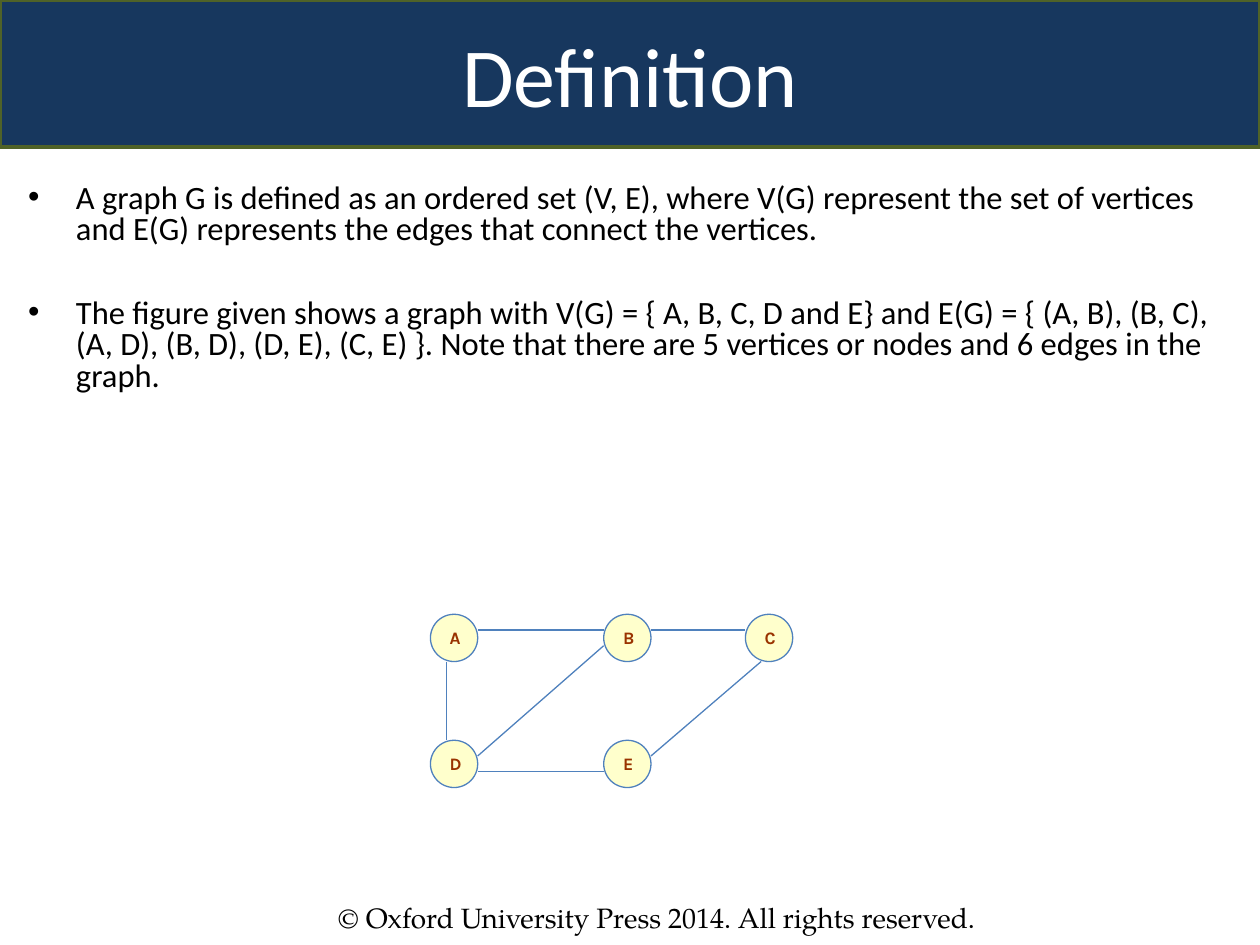
from lxml.etree import SubElement
from pptx import Presentation
from pptx.dml.color import RGBColor
from pptx.enum.shapes import MSO_CONNECTOR as CONN, MSO_SHAPE as SHAPE
from pptx.enum.text import MSO_ANCHOR as ANCHOR, MSO_AUTO_SIZE as FIT, PP_ALIGN as ALIGN
from pptx.oxml.ns import qn
from pptx.util import Inches, Pt

COLORS = {
    "banner": "17375E",
    "banner_line": "4F6228",
    "title": "FFFFFF",
    "text": "000000",
    "node": "FFFFCC",
    "edge": "4F81BD",
    "label": "993300",
}
BODY = [
    "A graph G is defined as an ordered set (V, E), where V(G) represent the set of "
    "vertices and E(G) represents the edges that connect the vertices.",
    "The figure given shows a graph with V(G) = { A, B, C, D and E} and E(G) = { (A, B), "
    "(B, C), (A, D), (B, D), (D, E), (C, E) }. Note that there are 5 vertices or nodes "
    "and 6 edges in the graph.",
]
COLS, ROWS = 80, 60
LEFT, MIDDLE, RIGHT = 27.33, 38.33, 47.33
TOP, BOTTOM = 39, 47
NODE = 3
NODES = {
    "A": (LEFT, TOP),
    "B": (MIDDLE, TOP),
    "C": (RIGHT, TOP),
    "D": (LEFT, BOTTOM),
    "E": (MIDDLE, BOTTOM),
}
EDGES = [
    ("A", (1, 3), "D", (1, 0)),
    ("A", (3, 1), "B", (0, 1)),
    ("D", (3, 2), "E", (0, 2)),
    ("D", (3, 1), "B", (0, 2)),
    ("B", (3, 1), "C", (0, 1)),
    ("C", (1, 3), "E", (3, 1)),
]


def rgb(name):
    return RGBColor.from_string(COLORS[name])


class GraphSlide:
    def __init__(self, prs):
        self.cell = prs.slide_width / COLS
        self.slide = prs.slides.add_slide(prs.slide_layouts[5])
        self.shapes = self.slide.shapes

    def grid(self, *lengths):
        return [round(n * self.cell) for n in lengths]

    def paint(self, sp, fill, line, width):
        sp.fill.solid()
        sp.fill.fore_color.rgb = rgb(fill)
        sp.line.color.rgb = rgb(line)
        sp.line.width = Pt(width)

    def style(self, p, font, size, color, bold=False):
        for r in p.runs:
            r.font.name = font
            r.font.size = Pt(size)
            r.font.bold = bold
            r.font.color.rgb = rgb(color)

    def title(self, text, *box):
        sp = self.shapes.title
        sp.left, sp.top, sp.width, sp.height = self.grid(*box)
        self.paint(sp, "banner", "banner_line", 2)
        tf = sp.text_frame
        tf.text = text
        tf.auto_size = FIT.NONE
        tf.vertical_anchor = ANCHOR.MIDDLE
        tf.paragraphs[0].alignment = ALIGN.CENTER
        self.style(tf.paragraphs[0], "Calibri", 48, "title")

    def textbox(self, *box):
        tf = self.shapes.add_textbox(*self.grid(*box)).text_frame
        tf.word_wrap = True
        return tf

    def bullets(self, items, *box):
        tf = self.textbox(*box)
        for i, item in enumerate(items):
            p = tf.add_paragraph() if i else tf.paragraphs[0]
            p.text = item
            pPr = p._p.get_or_add_pPr()
            pPr.set("marL", str(Inches(0.38)))
            pPr.set("indent", str(-Inches(0.38)))
            clr = SubElement(pPr, qn("a:buClr"))
            SubElement(clr, qn("a:srgbClr"), val=COLORS["text"])
            SubElement(pPr, qn("a:buFont"), typeface="Arial")
            SubElement(pPr, qn("a:buChar"), char="•")
            p.line_spacing = 0.8
            p.space_before = Pt(30 if i else 0)
            self.style(p, "Calibri", 18.6, "text")

    def footer(self, text, *box):
        tf = self.textbox(*box)
        tf.text = text
        self.style(tf.paragraphs[0], "TeX Gyre Pagella", 16, "text")

    def node(self, label, col, row):
        sp = self.shapes.add_shape(SHAPE.OVAL, *self.grid(col, row, NODE, NODE))
        sp.shadow.inherit = False
        self.paint(sp, "node", "edge", 0.75)
        tf = sp.text_frame
        tf.text = label
        tf.vertical_anchor = ANCHOR.TOP
        tf.paragraphs[0].alignment = ALIGN.LEFT
        self.style(tf.paragraphs[0], "Karla", 10, "label", True)

    def edge(self, start, start_port, end, end_port):
        ends = [
            node + port
            for name, ports in ((start, start_port), (end, end_port))
            for node, port in zip(NODES[name], ports)
        ]
        line = self.shapes.add_connector(CONN.STRAIGHT, *self.grid(*ends))
        line.line.color.rgb = rgb("edge")
        line.line.width = Pt(0.75)
        SubElement(line._element.spPr, qn("a:effectLst"))


def main():
    prs = Presentation()
    prs.slide_width, prs.slide_height = Inches(10), Inches(7.5)
    s = GraphSlide(prs)
    s.title("Definition", 0, 0, COLS, 9.33)
    s.bullets(BODY, 1, 11.33, 77.67, 17.33)
    for label, place in NODES.items():
        s.node(label, *place)
    for edge in EDGES:
        s.edge(*edge)
    s.footer("© Oxford University Press 2014. All rights reserved.",
             20.67, ROWS - 3.2, 47.33, 3)
    prs.save("out.pptx")


if __name__ == "__main__":
    main()
